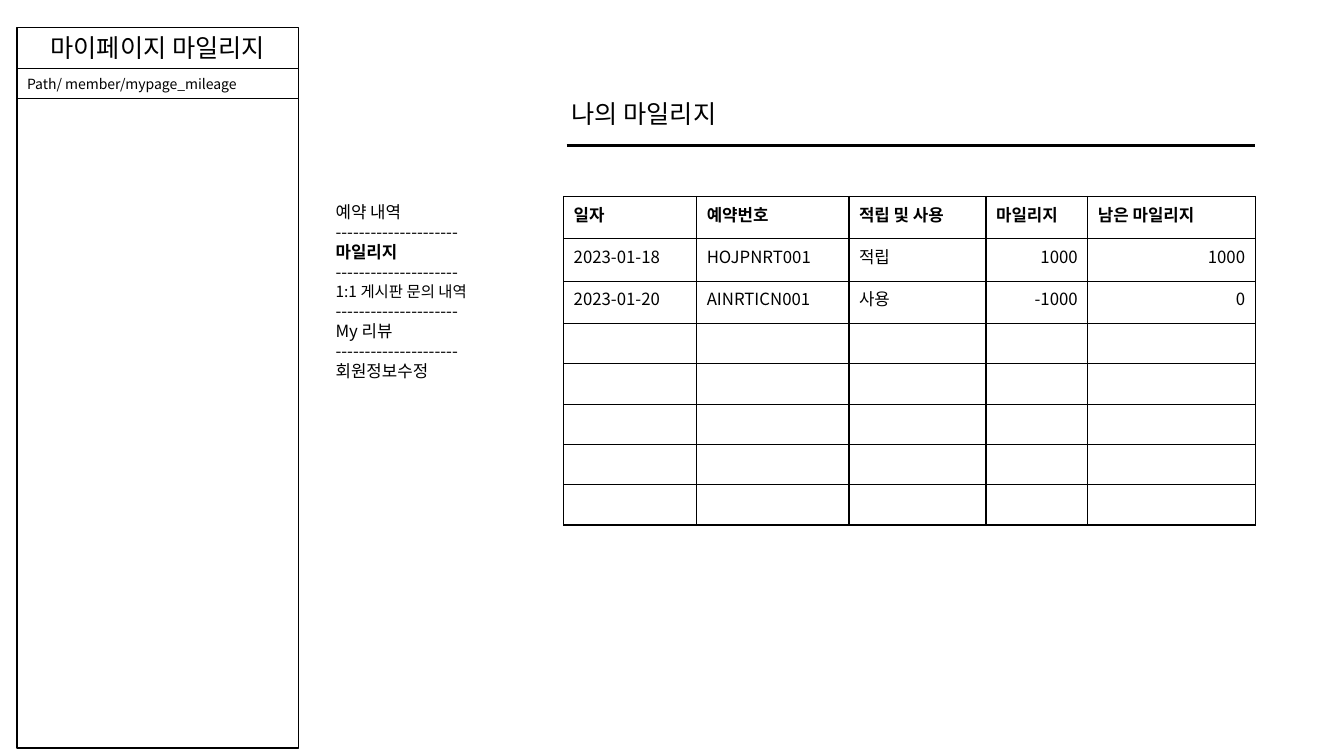
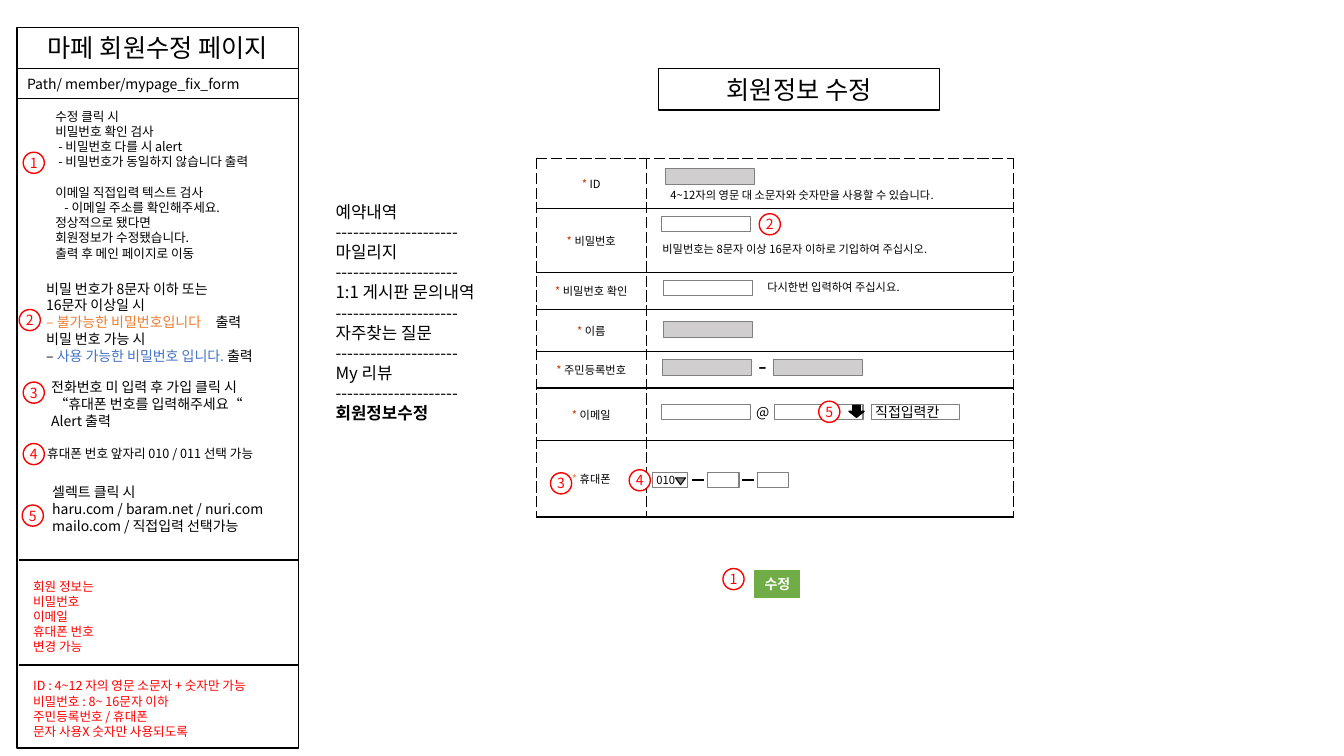
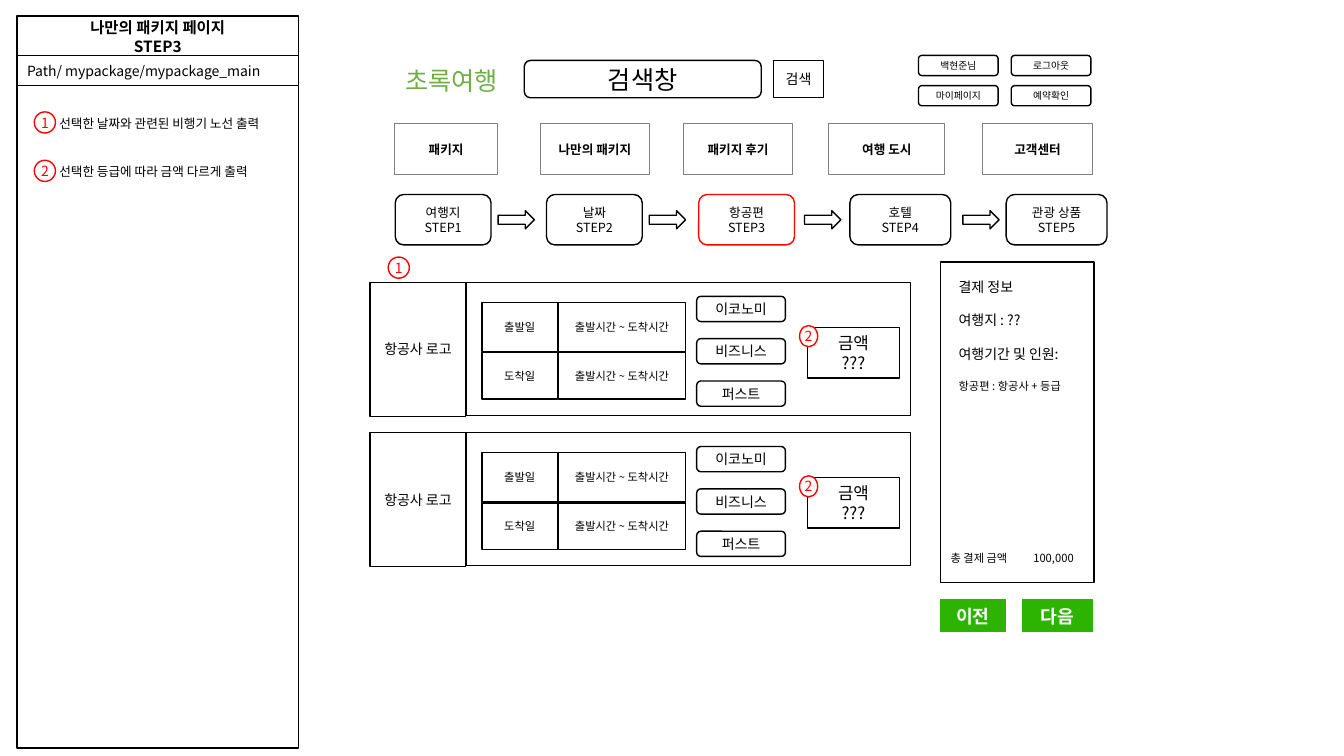
"""Build three wireframe slides for a travel booking site."""
from lxml import etree
from pptx import Presentation
from pptx import util as u
from pptx.dml.color import RGBColor
from pptx.enum import shapes, text
from pptx.oxml.ns import qn

FONT = "Noto Sans CJK KR"
BLACK, WHITE, RED, GRAY = "000000", "FFFFFF", "FF0000", "808080"
SILVER, ORANGE, RUST, BLUE = "D0CECE", "ED7D31", "CC3300", "4472C4"
GREEN, BUTTON = "70AD47", "2DB400"
LEFT, CENTER, RIGHT = text.PP_ALIGN.LEFT, text.PP_ALIGN.CENTER, text.PP_ALIGN.RIGHT
TOP, MIDDLE = text.MSO_ANCHOR.TOP, text.MSO_ANCHOR.MIDDLE
KIND = shapes.MSO_SHAPE
TIGHT = (0.04, 0.05)
PANEL_X, PANEL_W = 0.17, 2.79


def rgb(value):
    return RGBColor.from_string(value)


def inches(values):
    return [u.Inches(v) for v in values]


def indent(p, left):
    pPr = p._p.get_or_add_pPr()
    pPr.set("marL", str(u.Inches(left)))
    pPr.set("indent", "0")


def tab_stop(p, pos):
    tabs = etree.SubElement(p._p.get_or_add_pPr(), qn("a:tabLst"))
    etree.SubElement(tabs, qn("a:tab"), pos=str(u.Inches(pos)), algn="l")


class Deck:
    def __init__(self):
        self.prs = Presentation()
        self.prs.slide_width, self.prs.slide_height = inches((13.33, 7.5))
        self.s = None

    def slide(self, title, route, top=0.27, route_top=0.68, size=18, bold=False):
        self.s = self.prs.slides.add_slide(self.prs.slide_layouts[5])
        sp = self.s.shapes.title
        sp.left, sp.top, sp.width, sp.height = inches((PANEL_X, top, PANEL_W, 0.41))
        self.paint(sp, WHITE, BLACK, 1)
        self.fill_text(sp.text_frame, title, size, bold=bold, align=CENTER, anchor=MIDDLE)
        self.box((PANEL_X, 0.7, PANEL_W, 6.72), fill=WHITE)
        self.box((PANEL_X, route_top, PANEL_W, 0.3), route, fill=WHITE, align=LEFT)

    def paint(self, sp, fill, line, width):
        if fill:
            sp.fill.solid()
            sp.fill.fore_color.rgb = rgb(fill)
        else:
            sp.fill.background()
        sp.line.color.rgb = rgb(line)
        sp.line.width = u.Pt(width)

    def style(self, r, size, color, bold):
        r.font.size = u.Pt(size)
        r.font.bold = bold
        r.font.color.rgb = rgb(color)
        r.font.name = FONT
        etree.SubElement(r._r.get_or_add_rPr(), qn("a:ea"), typeface=FONT)

    def fill_text(self, tf, words, size=10, color=BLACK, bold=False, align=LEFT,
                  anchor=TOP, inset=(0.1, 0.05)):
        tf.text = words
        tf.word_wrap = True
        tf.auto_size = text.MSO_AUTO_SIZE.NONE
        tf.vertical_anchor = anchor
        tf.margin_left = tf.margin_right = u.Inches(inset[0])
        tf.margin_top = tf.margin_bottom = u.Inches(inset[1])
        for p in tf.paragraphs:
            p.alignment = align
            for r in p.runs:
                self.style(r, size, color, bold)
        return tf

    def runs(self, p, parts, size):
        p.text = ""
        for words, color in parts:
            r = p.add_run()
            r.text = words
            self.style(r, size, color, False)

    def box(self, at, words="", size=10, kind=KIND.RECTANGLE, fill=None, line=BLACK,
            width=1, color=BLACK, bold=False, align=CENTER, inset=(0.1, 0.05)):
        sp = self.s.shapes.add_shape(kind, *inches(at))
        sp.shadow.inherit = False
        self.paint(sp, fill, line, width)
        if words:
            self.fill_text(sp.text_frame, words, size, color, bold, align, MIDDLE, inset)

    def field(self, at, words="", size=10, fill=None):
        self.box(at, words, size, fill=fill, line=GRAY, width=0.75, align=LEFT, inset=TIGHT)

    def rounded(self, at, words, size, line=BLACK):
        self.box(at, words, size, KIND.ROUNDED_RECTANGLE, WHITE, line)

    def badge(self, x, y, number, width=0.21):
        self.box((x, y, width, 0.21), str(number), kind=KIND.OVAL, fill=WHITE,
                 line=RED, color=RED, inset=(0, 0))

    def label(self, at, words, size=10, color=BLACK, inset=(0.1, 0.05)):
        sp = self.s.shapes.add_textbox(*inches(at))
        return self.fill_text(sp.text_frame, words, size, color, inset=inset)

    def line(self, x1, x2, y, width=1.5):
        c = self.s.shapes.add_connector(shapes.MSO_CONNECTOR.STRAIGHT, *inches((x1, y, x2, y)))
        c.line.color.rgb = rgb(BLACK)
        c.line.width = u.Pt(width)
        etree.SubElement(c._element.spPr, qn("a:effectLst"))

    def menu(self, items, current):
        rule = "\n" + "-" * 21 + "\n"
        tf = self.label((3.23, 1.95, 1.72, 2.49), rule.join(items), 12)
        for p in tf.paragraphs:
            p.runs[0].font.bold = p.text == current
        return tf

    def table(self, x, y, cols, rows):
        size = inches((x, y, sum(cols), sum(rows)))
        table = self.s.shapes.add_table(len(rows), len(cols), *size).table
        table.first_row = table.horz_banding = False
        for col, width in zip(table.columns, cols):
            col.width = u.Inches(width)
        for row, height in zip(table.rows, rows):
            row.height = u.Inches(height)
        return table

    def cell(self, cell, words, size, fill, borders, bold=False, align=LEFT,
             anchor=TOP, inset=(0.1, 0.05)):
        if fill:
            cell.fill.solid()
            cell.fill.fore_color.rgb = rgb(fill)
        else:
            cell.fill.background()
        tcPr = cell._tc.get_or_add_tcPr()
        for i, (side, (width, dash)) in enumerate(zip("LRTB", borders)):
            ln = etree.Element(qn("a:ln" + side), w=str(u.Pt(width)))
            paint = etree.SubElement(ln, qn("a:solidFill"))
            etree.SubElement(paint, qn("a:srgbClr"), val=BLACK)
            etree.SubElement(ln, qn("a:prstDash"), val=dash)
            tcPr.insert(i, ln)
        tf = self.fill_text(cell.text_frame, words, size, bold=bold, align=align)
        cell.vertical_anchor = anchor
        cell.margin_left = cell.margin_right = u.Inches(inset[0])
        cell.margin_top = cell.margin_bottom = u.Inches(inset[1])
        if not words:
            etree.SubElement(tf.paragraphs[0]._p, qn("a:endParaRPr"), sz=str(size * 100))
        return tf


def mileage_slide(d):
    d.slide("마이페이지 마일리지", "Path/ member/mypage_mileage")
    menu = d.menu(["예약 내역", "마일리지", "1:1 게시판 문의 내역", "My 리뷰", "회원정보수정"],
                  "마일리지")
    menu.paragraphs[4].runs[0].font.size = u.Pt(11)
    records = [
        ("일자", "예약번호", "적립 및 사용", "마일리지", "남은 마일리지"),
        ("2023-01-18", "HOJPNRT001", "적립", "1000", "1000"),
        ("2023-01-20", "AINRTICN001", "사용", "-1000", "0"),
    ] + [("",) * 5] * 5
    table = d.table(5.59, 1.95, [1.32, 1.51, 1.36, 1.01, 1.66], [0.42] * 3 + [0.4] * 5)
    for i, record in enumerate(records):
        for j, words in enumerate(record):
            d.cell(table.cell(i, j), words, 12, WHITE, [(1, "solid")] * 4, bold=i == 0,
                   align=RIGHT if i and j > 2 else LEFT)
    d.label((5.57, 0.93, 4.49, 0.4), "나의 마일리지", 18)
    d.line(5.62, 12.45, 1.44, 2.25)


def member_notes(d):
    note = d.label((0.45, 1.03, 2.63, 1.62), "\n".join([
        "수정 클릭 시", "비밀번호 확인 검사", "- 비밀번호 다를 시 alert",
        "- 비밀번호가 동일하지 않습니다 출력", "이메일 직접입력 텍스트 검사",
        "- 이메일 주소를 확인해주세요.", "정상적으로 됐다면",
        "회원정보가 수정됐습니다.", "출력 후 메인 페이지로 이동"]), 9)
    for i, left in ((2, 0.03), (3, 0.03), (5, 0.09)):
        indent(note.paragraphs[i], left)
    note.paragraphs[4].space_before = u.Pt(11)

    note = d.label((0.36, 2.73, 2.56, 1.11), "\n".join([
        "비밀 번호가 8문자 이하 또는", "16문자 이상일 시", "불가능", "비밀 번호 가능 시", "가능"]))
    d.runs(note.paragraphs[2], [("– 불가능한 비밀번호입니다", ORANGE), ("\t출력", BLACK)], 10)
    tab_stop(note.paragraphs[2], 1.68)
    d.runs(note.paragraphs[4], [("– ", BLACK), ("사용 가능한 비밀번호 입니다. ", BLUE),
                                ("출력", BLACK)], 10)
    d.label((0.41, 3.71, 2.46, 0.61),
            "전화번호 미 입력 후 가입 클릭 시\n “휴대폰 번호를 입력해주세요“\nAlert 출력")
    d.label((0.37, 4.37, 2.72, 0.25), "휴대폰 번호 앞자리 010 / 011 선택 가능", 9)
    d.label((0.42, 4.75, 2.9, 0.61),
            "셀렉트 클릭 시\nharu.com / baram.net / nuri.com\nmailo.com / 직접입력 선택가능")
    d.label((0.23, 5.69, 2.17, 0.86),
            "회원 정보는\n비밀번호\n이메일\n휴대폰 번호\n변경 가능", 9, RED)
    d.label((0.23, 6.68, 3, 0.71), "ID : 4~12 자의 영문 소문자 + 숫자만 가능\n비밀번호 : 8~ 16문자 이하\n"
            "주민등록번호 / 휴대폰\n문자 사용X 숫자만 사용되도록", 9, RED)
    for y in (5.56, 6.6):
        d.line(0.19, 2.96, y)


def member_slide(d):
    d.slide("마페 회원수정 페이지", "Path/ member/mypage_fix_form")
    member_notes(d)
    d.menu(["예약내역", "마일리지", "1:1 게시판 문의내역", "자주찾는 질문", "My 리뷰", "회원정보수정"],
           "회원정보수정")
    d.box((6.53, 0.68, 2.79, 0.41), "회원정보 수정", 18, fill=WHITE)

    labels = ["ID", "비밀번호", "비밀번호 확인", "이름", "주민등록번호", "이메일", "휴대폰"]
    table = d.table(5.32, 1.57, [1.09, 3.64], [0.5, 0.63, 0.37, 0.42, 0.36, 0.52, 0.76])
    dashed, solid = (0.25, "sysDash"), (1, "solid")
    for i, name in enumerate(labels):
        borders = [dashed, dashed, solid if i else dashed, solid]
        tf = d.cell(table.cell(i, 0), name, 8, None, borders, align=CENTER,
                    anchor=MIDDLE, inset=TIGHT)
        star = ORANGE if name == "휴대폰" else RUST
        d.runs(tf.paragraphs[0], [("* ", star), (name, BLACK)], 8)
        d.cell(table.cell(i, 1), "", 8, None, borders)

    for x, y in ((6.6, 1.67), (6.58, 3.19), (6.57, 3.57), (7.67, 3.57)):
        d.field((x, y, 0.88, 0.16), fill=SILVER)
    for x, y in ((6.56, 2.15), (6.58, 2.78), (6.56, 4.01), (7.68, 4.01)):
        d.field((x, y, 0.88, 0.15))
    d.field((8.64, 4.01, 0.88, 0.15), "직접입력칸")
    d.field((6.47, 4.69, 0.35, 0.15), "010", 8)
    for x in (7.02, 7.51):
        d.field((x, 4.69, 0.31, 0.15))
    for x in (6.86, 7.36):
        d.line(x, x + 0.12, 4.76)
    for at, words in (
            ((6.61, 1.82, 2.99, 0.23), "4~12자의 영문 대 소문자와 숫자만을 사용할 수 있습니다."),
            ((6.53, 2.36, 3, 0.24), "비밀번호는 8문자 이상 16문자 이하로 기입하여 주십시오."),
            ((7.57, 2.73, 2.28, 0.23), "다시한번 입력하여 주십시요.")):
        d.label(at, words, 8, inset=TIGHT)
    d.label((7.48, 3.43, 0.2, 0.22), "-", 18, inset=TIGHT)
    d.label((7.4, 3.95, 0.35, 0.27), "@")
    d.box((8.42, 4.02, 0.15, 0.12), kind=KIND.DOWN_ARROW, fill=BLACK)
    d.box((6.7, 4.74, 0.1, 0.07), kind=KIND.FLOWCHART_MERGE, fill=GRAY, width=0.75)
    d.box((7.47, 5.64, 0.48, 0.3), "수정", fill=GREEN, line=WHITE, width=1.5,
          color=WHITE, bold=True, inset=TIGHT)
    for x, y, number in (
            (0.23, 1.51, 1), (7.17, 5.64, 1), (0.19, 3.07, 2), (7.53, 2.12, 2),
            (0.23, 3.79, 3), (5.46, 4.69, 3), (0.23, 4.4, 4), (6.24, 4.66, 4),
            (0.22, 5.01, 5), (8.12, 3.98, 5)):
        d.badge(x, y, number)


def flight_card(d, y):
    d.box((3.67, y, 0.95, 1.33), "항공사 로고")
    d.box((4.62, y, 4.41, 1.32))
    d.box((8.01, y + 0.45, 0.91, 0.5), "금액\n???", 12)
    for name, dy, height in (("출발일", 0.2, 0.49), ("도착일", 0.7, 0.46)):
        d.box((4.78, y + dy, 0.75, height), name, 8)
        d.box((5.54, y + dy, 1.26, height), "출발시간 ~ 도착시간", 8)
    for i, grade in enumerate(("이코노미", "비즈니스", "퍼스트")):
        d.rounded((6.91, y + 0.14 + 0.42 * i, 0.88, 0.25), grade, 10)
    d.badge(7.93, y + 0.43, 2, 0.18)


def package_slide(d):
    d.slide("나만의 패키지 페이지\nSTEP3", "Path/ mypackage/mypackage_main",
            top=0.16, route_top=0.55, size=11, bold=True)
    for y, number, note in ((1.11, 1, "선택한 날짜와 관련된 비행기 노선 출력"),
                            (1.59, 2, "선택한 등급에 따라 금액 다르게 출력")):
        d.badge(0.34, y, number)
        d.label((0.49, y - 0.01, 2.97, 0.25), note, 9)

    d.label((3.92, 0.6, 1.23, 0.4), "초록여행", 18, GREEN)
    d.rounded((5.2, 0.6, 2.35, 0.37), "검색창", 18)
    d.box((7.67, 0.6, 0.5, 0.37), "검색", fill=WHITE)
    for i, name in enumerate(("백현준님", "로그아웃", "마이페이지", "예약확인")):
        d.rounded((9.11 + 0.92 * (i % 2), 0.55 + 0.3 * (i // 2), 0.79, 0.2), name, 7)
    for x, width, name in ((3.91, 1.03, "패키지"), (5.36, 1.08, "나만의 패키지"),
                           (6.78, 1.08, "패키지 후기"), (8.22, 1.15, "여행 도시"),
                           (9.74, 1.1, "고객센터")):
        d.box((x, 1.23, width, 0.5), name, 9, line=GRAY, width=0.75, bold=True, inset=TIGHT)

    steps = ((3.92, 0.95, "여행지"), (5.42, 0.95, "날짜"), (6.93, 0.95, "항공편"),
             (8.43, 1, "호텔"), (9.98, 1, "관광 상품"))
    for i, (x, width, name) in enumerate(steps, 1):
        d.rounded((x, 1.93, width, 0.5), f"{name}\nSTEP{i}", 9, RED if i == 3 else BLACK)
    for x in (4.94, 6.44, 7.98, 9.55):
        d.box((x, 2.09, 0.36, 0.18), kind=KIND.RIGHT_ARROW, fill=WHITE)

    d.badge(3.85, 2.55, 1)
    for y in (2.8, 4.29):
        flight_card(d, y)

    d.box((9.33, 2.6, 1.52, 3.18))
    payment = d.label((9.41, 2.71, 1.4, 1.25),
                      "결제 정보\n여행지 : ??\n여행기간 및 인원:\n항공편 : 항공사 + 등급")
    for p in payment.paragraphs[1:]:
        p.space_before = u.Pt(12)
    payment.paragraphs[3].runs[0].font.size = u.Pt(8)
    total = d.label((9.33, 5.42, 1.52, 0.24), "총 결제 금액\t100,000", 8)
    tab_stop(total.paragraphs[0], 0.82)
    for x, width, name in ((9.33, 0.64, "이전"), (10.14, 0.7, "다음")):
        d.box((x, 5.95, width, 0.32), name, 13, fill=BUTTON, line=BUTTON, width=0.75,
              color=WHITE, bold=True)


deck = Deck()
mileage_slide(deck)
member_slide(deck)
package_slide(deck)
deck.prs.save("out.pptx")
